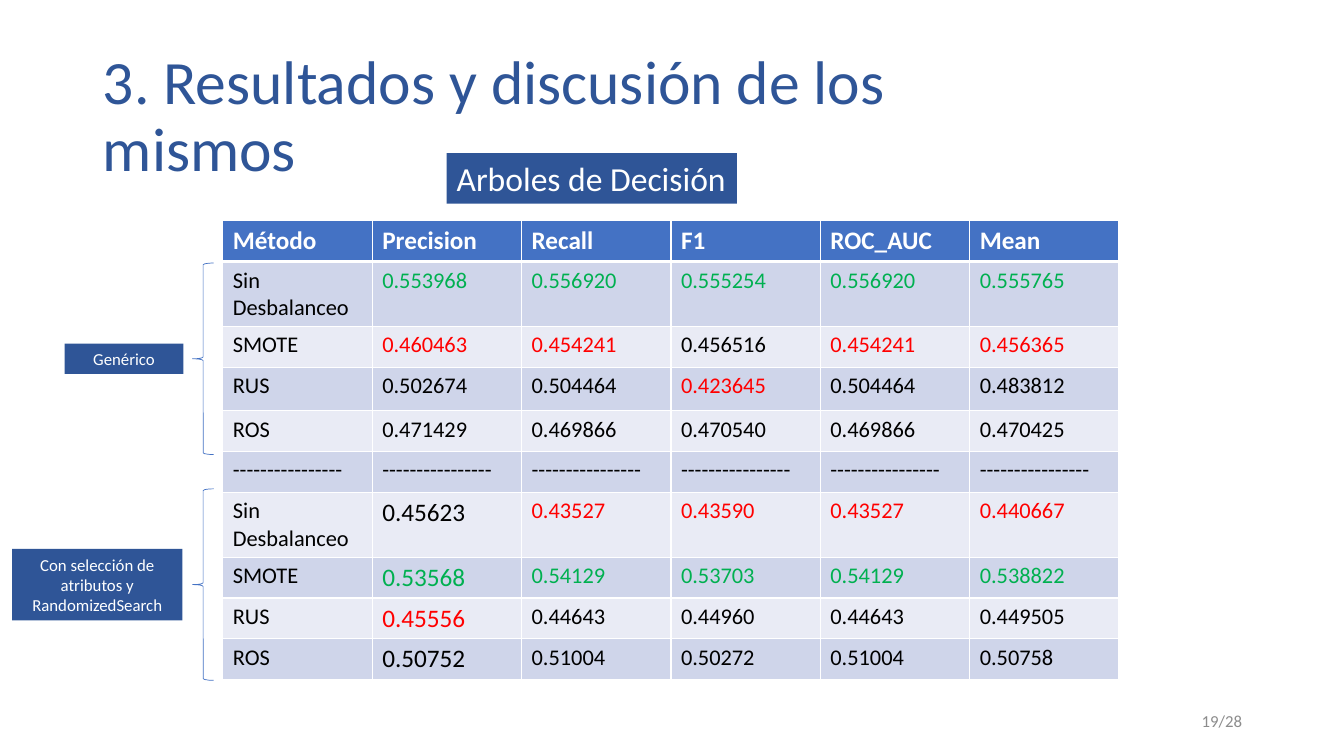
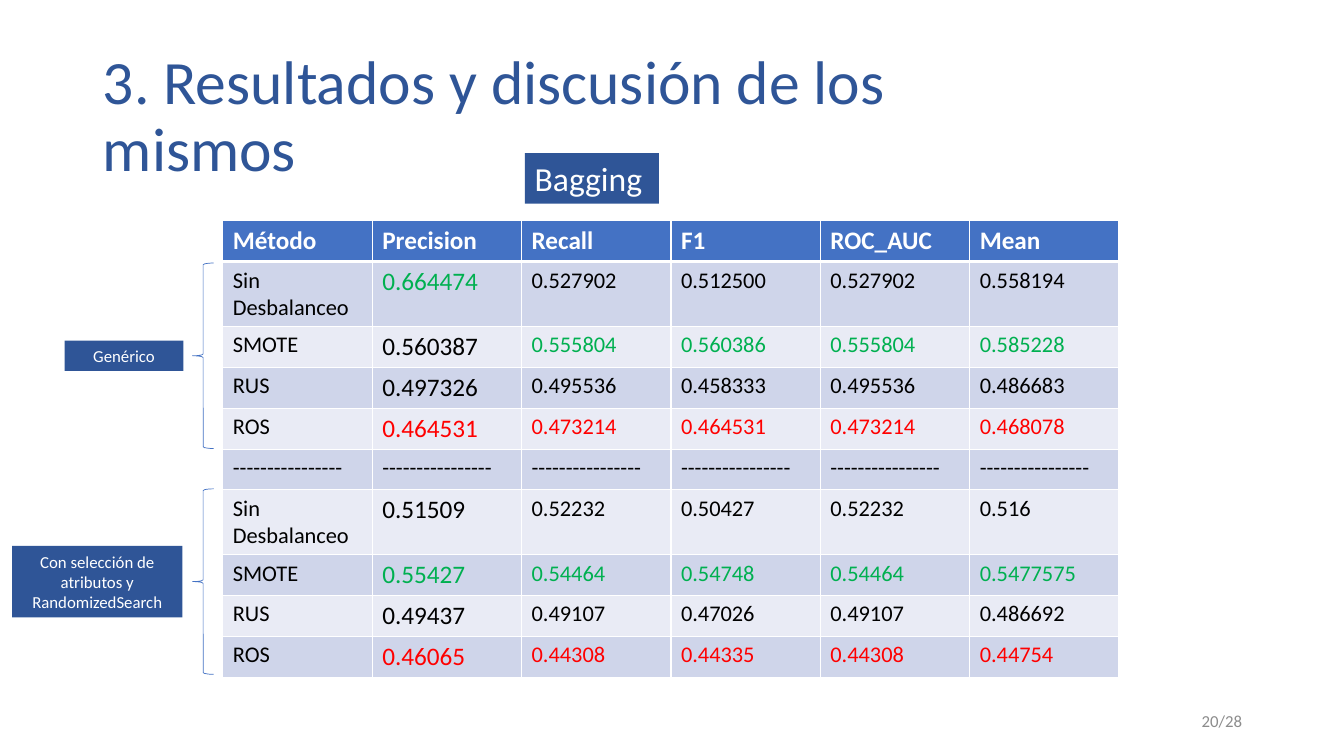
"""Build two result slides comparing class-balancing methods per classifier."""

from dataclasses import dataclass

import lxml.etree
import pptx
import pptx.dml.color
import pptx.enum.shapes
import pptx.enum.text
import pptx.oxml.ns
import pptx.presentation
import pptx.shapes.autoshape
import pptx.slide
import pptx.table
import pptx.text.text
import pptx.util

Inches = pptx.util.Inches
Pt = pptx.util.Pt
RGBColor = pptx.dml.color.RGBColor
Shape = pptx.enum.shapes.MSO_SHAPE
Align = pptx.enum.text.PP_ALIGN
Anchor = pptx.enum.text.MSO_ANCHOR


@dataclass(frozen=True)
class Theme:
    font: str = "Calibri"
    navy: str = "2F5597"
    blue: str = "4472C4"
    white: str = "FFFFFF"
    black: str = "000000"
    best: str = "00B050"
    worst: str = "FF0000"
    gray: str = "8C8C8C"
    bands: tuple[str, str] = ("CFD5EA", "E9EBF5")
    title_size: int = 44
    badge_size: int = 24
    large_size: int = 18
    body_size: int = 16
    small_size: int = 12


@dataclass(frozen=True)
class Box:
    left: float
    top: float
    width: float
    height: float

    def emu(self) -> tuple[int, ...]:
        return tuple(Inches(v) for v in (self.left, self.top, self.width, self.height))


@dataclass(frozen=True)
class Result:
    method: str
    scores: str
    tones: str = "....."
    large_precision: bool = False
    extra_height: float = 0


@dataclass(frozen=True)
class Group:
    label: str
    label_left: float
    label_width: float
    label_height: float
    brace_top: float


@dataclass(frozen=True)
class Page:
    number: str
    classifier: str
    badge_width: float
    brace_height: float
    results: tuple[Result, ...]


THEME = Theme()
TONES = {"+": THEME.best, "-": THEME.worst, ".": THEME.black}
TITLE = "3. Resultados y discusión de los mismos"
TITLE_BOX = Box(0.92, 0.4, 9.9, 1.54)
NUMBER_BOX = Box(9.42, 6.95, 3, 0.4)
BADGE_CENTER = 5.87
TABLE_BOX = Box(2.21, 2.19, 8.89, 4.51)
TALL_ROW = 0.64
UNBALANCED = "Sin Desbalanceo"
SHORT_ROW = (TABLE_BOX.height - 2 * TALL_ROW) / 8
HEADERS = ("Método", "Precision", "Recall", "F1", "ROC_AUC", "Mean")
DASHES = "-" * 16
SEPARATOR = Result(DASHES, " ".join([DASHES] * 5))
GROUPS = (
    Group("Genérico", 0.64, 1.18, 0.3, 2.61),
    Group("Con selección de atributos y RandomizedSearch", 0.12, 1.69, 0.71, 4.85),
)
PAGES = (
    Page("19/28", "Arboles de Decisión", 2.88, 1.9, (
        Result(UNBALANCED, "0.553968 0.556920 0.555254 0.556920 0.555765", "+++++"),
        Result("SMOTE", "0.460463 0.454241 0.456516 0.454241 0.456365", "--.--"),
        Result("RUS", "0.502674 0.504464 0.423645 0.504464 0.483812", "..-..",
               extra_height=0.03),
        Result("ROS", "0.471429 0.469866 0.470540 0.469866 0.470425"),
        SEPARATOR,
        Result(UNBALANCED, "0.45623 0.43527 0.43590 0.43527 0.440667", ".----", True),
        Result("SMOTE", "0.53568 0.54129 0.53703 0.54129 0.538822", "+++++", True),
        Result("RUS", "0.45556 0.44643 0.44960 0.44643 0.449505", "-....", True),
        Result("ROS", "0.50752 0.51004 0.50272 0.51004 0.50758", ".....", True),
    )),
    Page("20/28", "Bagging", 1.33, 1.84, (
        Result(UNBALANCED, "0.664474 0.527902 0.512500 0.527902 0.558194", "+....", True),
        Result("SMOTE", "0.560387 0.555804 0.560386 0.555804 0.585228", ".++++", True),
        Result("RUS", "0.497326 0.495536 0.458333 0.495536 0.486683", ".....", True),
        Result("ROS", "0.464531 0.473214 0.464531 0.473214 0.468078", "-----", True),
        SEPARATOR,
        Result(UNBALANCED, "0.51509 0.52232 0.50427 0.52232 0.516", ".....", True),
        Result("SMOTE", "0.55427 0.54464 0.54748 0.54464 0.5477575", "+++++", True),
        Result("RUS", "0.49437 0.49107 0.47026 0.49107 0.486692", ".....", True),
        Result("ROS", "0.46065 0.44308 0.44335 0.44308 0.44754", "-----", True),
    )),
)


def write(frame: pptx.text.text.TextFrame, text: str, size: int, color: str,
          align: Align = Align.LEFT, bold: bool = False) -> None:
    frame.text = text
    paragraph = frame.paragraphs[0]
    paragraph.alignment = align
    font = paragraph.runs[0].font
    for attribute, value in {"name": THEME.font, "size": Pt(size), "bold": bold}.items():
        setattr(font, attribute, value)
    font.color.rgb = RGBColor.from_string(color)


def format_frame(frame: pptx.text.text.TextFrame, wrap: bool = True) -> None:
    settings = {
        "word_wrap": wrap,
        "auto_size": pptx.enum.text.MSO_AUTO_SIZE.NONE,
        "vertical_anchor": Anchor.MIDDLE,
        "margin_left": Inches(0.1),
        "margin_right": Inches(0.1),
        "margin_top": Inches(0.05),
        "margin_bottom": Inches(0.05),
    }
    for attribute, value in settings.items():
        setattr(frame, attribute, value)


def add_title(slide: pptx.slide.Slide) -> None:
    title = slide.shapes.title
    for attribute, value in zip(("left", "top", "width", "height"), TITLE_BOX.emu()):
        setattr(title, attribute, value)
    format_frame(title.text_frame)
    write(title.text_frame, TITLE, THEME.title_size, THEME.navy)
    title.text_frame.paragraphs[0].line_spacing = 0.9


def add_page_number(slide: pptx.slide.Slide, number: str) -> None:
    footer = slide.shapes.add_textbox(*NUMBER_BOX.emu())
    format_frame(footer.text_frame)
    write(footer.text_frame, number, THEME.small_size, THEME.gray, Align.RIGHT)


def add_label(slide: pptx.slide.Slide, box: Box, text: str, size: int,
              align: Align, wrap: bool) -> None:
    label = slide.shapes.add_shape(Shape.RECTANGLE, *box.emu())
    label.shadow.inherit = False
    label.fill.solid()
    label.fill.fore_color.rgb = RGBColor.from_string(THEME.navy)
    label.line.fill.background()
    format_frame(label.text_frame, wrap)
    write(label.text_frame, text, size, THEME.white, align)


def add_group(slide: pptx.slide.Slide, group: Group, brace_height: float) -> None:
    brace_box = Box(1.91, group.brace_top, 0.21, brace_height)
    brace = slide.shapes.add_shape(Shape.LEFT_BRACE, *brace_box.emu())
    brace.shadow.inherit = False
    brace.fill.background()
    brace.line.color.rgb = RGBColor.from_string(THEME.blue)
    brace.line.width = Pt(0.5)
    label_top = group.brace_top + (brace_height - group.label_height) / 2
    label_box = Box(group.label_left, label_top, group.label_width, group.label_height)
    add_label(slide, label_box, group.label, THEME.small_size, Align.CENTER, True)


def set_borders(cell: pptx.table._Cell, top: float, bottom: float) -> None:
    properties = cell._tc.get_or_add_tcPr()
    qn = pptx.oxml.ns.qn
    for side, width in {"lnL": 1, "lnR": 1, "lnT": top, "lnB": bottom}.items():
        border = lxml.etree.SubElement(properties, qn(f"a:{side}"), w=str(Pt(width)))
        fill = lxml.etree.SubElement(border, qn("a:solidFill"))
        lxml.etree.SubElement(fill, qn("a:srgbClr"), val=THEME.white)


def fill_cell(cell: pptx.table._Cell, text: str, size: int, color: str, fill: str,
              row: int) -> None:
    set_borders(cell, 3 if row == 1 else 1, 3 if row == 0 else 1)
    cell.fill.solid()
    cell.fill.fore_color.rgb = RGBColor.from_string(fill)
    write(cell.text_frame, text, size, color, bold=row == 0)


def add_results(slide: pptx.slide.Slide, results: tuple[Result, ...]) -> None:
    table = slide.shapes.add_table(len(results) + 1, len(HEADERS), *TABLE_BOX.emu()).table
    for column in table.columns:
        column.width = Inches(TABLE_BOX.width / len(HEADERS))
    table.rows[0].height = Inches(SHORT_ROW)
    for index, header in enumerate(HEADERS):
        fill_cell(table.cell(0, index), header, THEME.large_size, THEME.white, THEME.blue, 0)
    for row, result in enumerate(results, 1):
        height = TALL_ROW if result.method == UNBALANCED else SHORT_ROW
        table.rows[row].height = Inches(height + result.extra_height)
        band = THEME.bands[(row - 1) % 2]
        texts = (result.method, *result.scores.split())
        for index, (text, tone) in enumerate(zip(texts, "." + result.tones)):
            large = result.large_precision and index == 1
            size = THEME.large_size if large else THEME.body_size
            fill_cell(table.cell(row, index), text, size, TONES[tone], band, row)


def add_page(deck: pptx.presentation.Presentation, page: Page) -> None:
    slide = deck.slides.add_slide(deck.slide_layouts.get_by_name("Title Only"))
    add_title(slide)
    add_page_number(slide, page.number)
    add_results(slide, page.results)
    for group in GROUPS:
        add_group(slide, group, page.brace_height)
    badge_box = Box(BADGE_CENTER - page.badge_width / 2, 1.52, page.badge_width, 0.5)
    add_label(slide, badge_box, page.classifier, THEME.badge_size, Align.LEFT, False)


def main() -> None:
    deck = pptx.Presentation()
    deck.slide_width, deck.slide_height = Inches(13.33), Inches(7.5)
    for page in PAGES:
        add_page(deck, page)
    deck.save("out.pptx")


if __name__ == "__main__":
    main()
